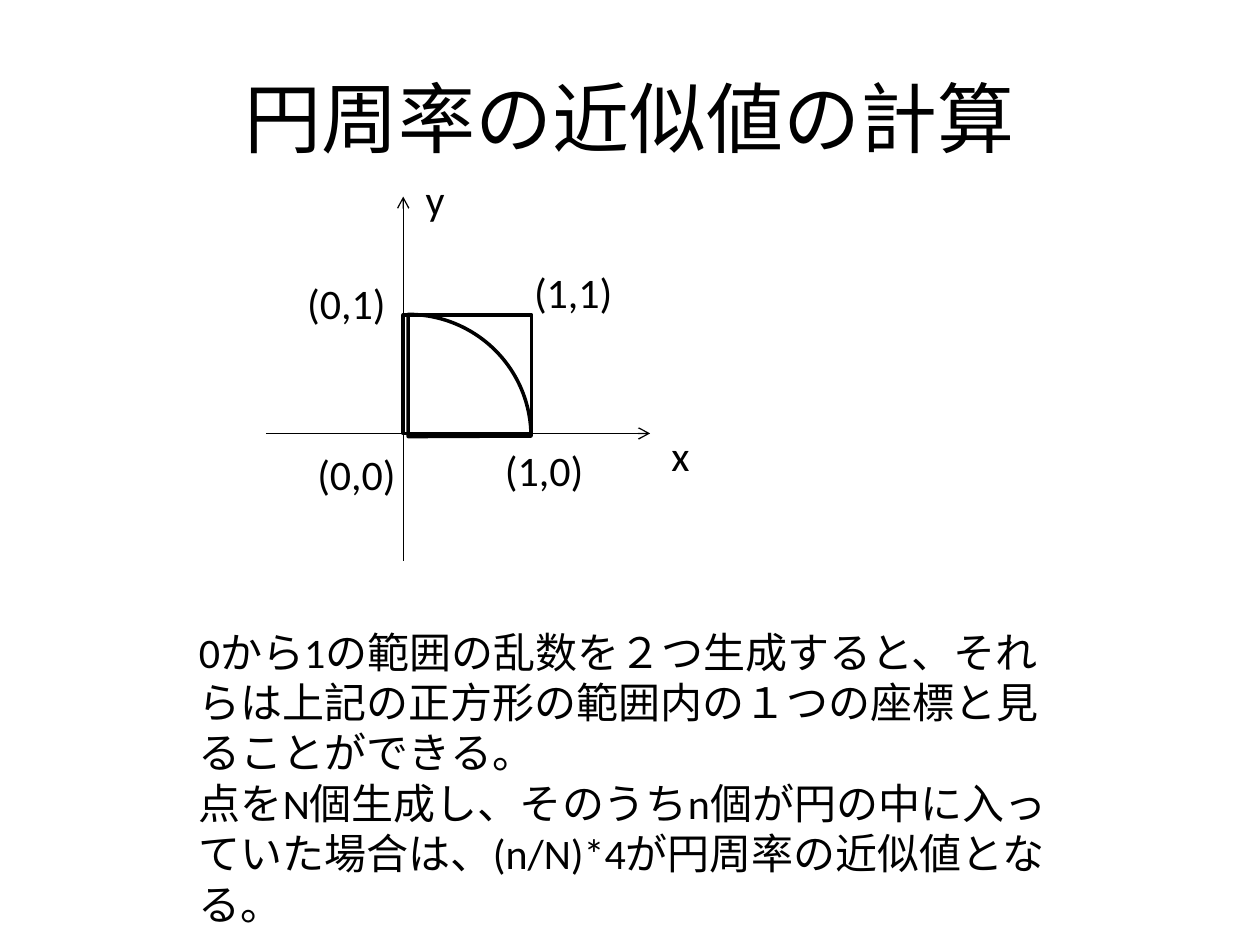
from lxml import etree
from pptx import Presentation
from pptx.dml.color import RGBColor
from pptx.enum import shapes, text
from pptx.oxml.ns import qn
from pptx.util import Inches, Pt

COLORS = {"ink": "000000", "paper": "FFFFFF"}
FONT = "Calibri"


def write(tf, content, size=24, color="ink", align=text.PP_ALIGN.LEFT):
    """Put each line of content in its own paragraph."""
    for i, line in enumerate(content.split("\n")):
        p = tf.paragraphs[0] if i == 0 else tf.add_paragraph()
        p.alignment = align
        r = p.add_run()
        r.text = line
        r.font.name = FONT
        r.font.size = Pt(size)
        r.font.color.rgb = RGBColor.from_string(COLORS[color])


class Deck:
    def __init__(self, width, height):
        self.prs = Presentation()
        self.prs.slide_width = Inches(width)
        self.prs.slide_height = Inches(height)
        self.s = None

    def new_slide(self):
        self.s = self.prs.slides.add_slide(self.prs.slide_layouts[6])
        fill = self.s.background.fill
        fill.solid()
        fill.fore_color.rgb = RGBColor.from_string(COLORS["paper"])

    def text(self, content, x, y, w, h, wrap=True,
             anchor=text.MSO_ANCHOR.TOP, **style):
        tf = self.s.shapes.add_textbox(*map(Inches, (x, y, w, h))).text_frame
        tf.word_wrap = wrap
        tf.vertical_anchor = anchor
        write(tf, content, **style)

    def outline(self, kind, x, y, w, h, width=2):
        sp = self.s.shapes.add_shape(kind, *map(Inches, (x, y, w, h)))
        sp.shadow.inherit = False
        sp.fill.background()
        sp.line.color.rgb = RGBColor.from_string(COLORS["ink"])
        sp.line.width = Pt(width)
        return sp

    def arrow(self, x1, y1, x2, y2, width=0.75):
        c = self.s.shapes.add_connector(
            shapes.MSO_CONNECTOR.STRAIGHT, *map(Inches, (x1, y1, x2, y2)))
        c.line.color.rgb = RGBColor.from_string(COLORS["ink"])
        c.line.width = Pt(width)
        ln = c.line._get_or_add_ln()
        etree.SubElement(ln, qn("a:tailEnd"), type="arrow")
        etree.SubElement(c._element.spPr, qn("a:effectLst"))


def main():
    deck = Deck(10, 7.5)
    deck.new_slide()
    deck.text("円周率の近似値の計算", 0.5, 0.3, 9, 1.25, size=44,
              anchor=text.MSO_ANCHOR.MIDDLE, align=text.PP_ALIGN.CENTER)

    origin_x, origin_y = 3.2, 3.44
    side_x, side_y = 1.02, 0.94

    quarter = deck.outline(shapes.MSO_SHAPE.PIE, 2.27, 2.49, 1.94, 1.95)
    quarter.adjustments[0] = 0
    quarter.adjustments[1] = 53.838  # 89.73 degrees
    quarter.rotation = 270

    deck.arrow(2.11, origin_y, 5.16, origin_y)
    deck.arrow(origin_x, 4.45, origin_x, 1.56)
    deck.outline(shapes.MSO_SHAPE.RECTANGLE,
                 origin_x, origin_y - side_y, side_x, side_y)

    for label, x, y in (("(0,0)", 2.42, 3.51), ("(1,0)", 3.91, 3.48),
                        ("(0,1)", 2.34, 2.15), ("(1,1)", 4.14, 2.07)):
        deck.text(label, x, y, 0.83, 0.5, wrap=False)
    for label, x, y in (("x", 5.23, 3.36), ("y", 3.28, 1.33)):
        deck.text(label, x, y, 0.31, 0.5)

    deck.text(
        "0から1の範囲の乱数を２つ生成すると、"
        "それらは上記の正方形の範囲内の１つの座標と見ることができる。\n"
        "点をN個生成し、そのうちn個が円の中に入っていた場合は、"
        "(n/N)*4が円周率の近似値となる。",
        1.48, 4.92, 7.11, 2.12)
    deck.prs.save("out.pptx")


if __name__ == "__main__":
    main()
